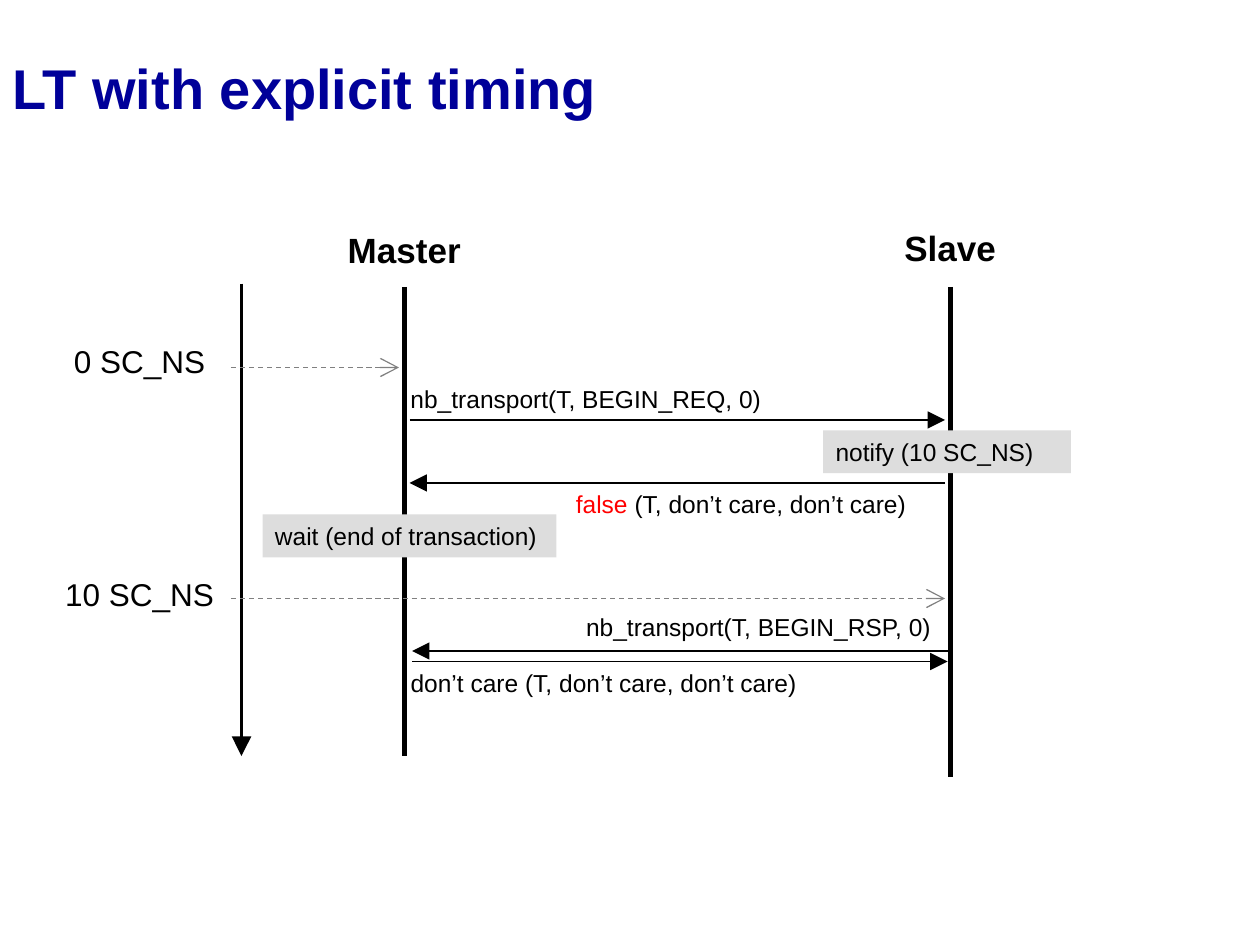
"""Build the sequence diagram slide on LT with explicit timing."""
from lxml import etree
from pptx import Presentation
from pptx.dml.color import RGBColor
from pptx.enum import dml, shapes, text
from pptx.oxml import ns
from pptx.util import Pt

NAVY = RGBColor(0x00, 0x00, 0x99)
BLACK = RGBColor(0x00, 0x00, 0x00)
RED = RGBColor(0xFF, 0x00, 0x00)
GRAY = RGBColor(0x80, 0x80, 0x80)
LIGHT_GRAY = RGBColor(0xDD, 0xDD, 0xDD)
FONT = "Arial"

TITLE = "LT with explicit timing"
MASTER_X, SLAVE_X, TIME_X = 231, 543, 138
DASH_START = 132
ROW_HEIGHT = 24.5

LIFELINES = [
    ("Master", MASTER_X, 127, 84, 432),
    ("Slave", SLAVE_X, 126, 72, 444),
]
MESSAGES = [
    (234, 540, 240),
    (540, 234, 276),
    (541.5, 235.5, 372),
    (235.5, 541.5, 378),
]
TIME_MARKS = [
    ("0 SC_NS", 35.2, 191.8, 94, 210, 228),
    ("10 SC_NS", 30.2, 325, 99.4, 342, 540),
]
LABELS = [
    ([("nb_transport(T, BEGIN_REQ, 0)", BLACK)], 227.5, 216, 216),
    ([("false", RED), (" (T, don’t care, don’t care)", BLACK)], 322, 276, 204.5),
    ([("nb_transport(T, BEGIN_RSP, 0)", BLACK)], 327.8, 346.3, 214.6),
    ([("don’t care (T, don’t care, don’t care)", BLACK)], 227.5, 378, 237),
]
ACTIONS = [
    ("notify (10 SC_NS)", 470.4, 246, 141.6),
    ("wait (end of transaction)", 150, 294, 168),
]


def style_run(run, size, color, bold=False):
    run.font.name = FONT
    run.font.size = Pt(size)
    run.font.bold = bold
    run.font.color.rgb = color


def write(frame, runs, size, bold=False, align=text.PP_ALIGN.LEFT):
    paragraph = frame.paragraphs[0]
    paragraph.alignment = align
    for words, color in runs:
        run = paragraph.add_run()
        run.text = words
        style_run(run, size, color, bold)


def add_label(slide, runs, left, top, width, height, size, **style):
    box = slide.shapes.add_textbox(Pt(left), Pt(top), Pt(width), Pt(height))
    box.text_frame.word_wrap = False
    box.text_frame.auto_size = text.MSO_AUTO_SIZE.SHAPE_TO_FIT_TEXT
    write(box.text_frame, runs, size, **style)


def add_line(slide, start, end, width=0.75, color=BLACK, head=None, dashed=False):
    line = slide.shapes.add_connector(
        shapes.MSO_CONNECTOR.STRAIGHT, *(Pt(value) for value in (*start, *end)))
    line.line.width = Pt(width)
    line.line.color.rgb = color
    if dashed:
        line.line.dash_style = dml.MSO_LINE.DASH
    properties = line._element.spPr
    if head:
        etree.SubElement(properties.find(ns.qn("a:ln")), ns.qn("a:tailEnd"),
                         type=head, w="lg", len="lg")
    etree.SubElement(properties, ns.qn("a:effectLst"))


def add_action(slide, words, left, top, width):
    box = slide.shapes.add_shape(
        shapes.MSO_SHAPE.RECTANGLE, Pt(left), Pt(top), Pt(width), Pt(ROW_HEIGHT))
    box.shadow.inherit = False
    box.fill.solid()
    box.fill.fore_color.rgb = LIGHT_GRAY
    box.line.fill.background()
    box.text_frame.word_wrap = True
    box.text_frame.vertical_anchor = text.MSO_ANCHOR.TOP
    write(box.text_frame, [(words, BLACK)], 14)


def add_title(slide):
    title = slide.shapes.title
    title.left, title.top, title.width, title.height = Pt(0), Pt(21.6), Pt(720), Pt(62.6)
    frame = title.text_frame
    frame.text = TITLE
    frame.auto_size = text.MSO_AUTO_SIZE.NONE
    frame.vertical_anchor = text.MSO_ANCHOR.MIDDLE
    paragraph = frame.paragraphs[0]
    paragraph.alignment = text.PP_ALIGN.LEFT
    paragraph.line_spacing = 0.85
    style_run(paragraph.runs[0], 32, NAVY, bold=True)


def main():
    presentation = Presentation()
    presentation.slide_width, presentation.slide_height = Pt(720), Pt(540)
    slide = presentation.slides.add_slide(presentation.slide_layouts[5])
    add_title(slide)
    for name, x, top, width, bottom in LIFELINES:
        add_line(slide, (x, 164), (x, bottom), width=3)
        add_label(slide, [(name, BLACK)], x - width / 2, top, width, 31.5, 20,
                  bold=True, align=text.PP_ALIGN.CENTER)
    add_line(slide, (TIME_X, 162), (TIME_X, 432), width=2.25, head="triangle")
    for name, left, top, width, y, end in TIME_MARKS:
        add_label(slide, [(name, BLACK)], left, top, width, 29, 18)
        add_line(slide, (DASH_START, y), (end, y), color=GRAY, head="arrow", dashed=True)
    for start, end, y in MESSAGES:
        add_line(slide, (start, y), (end, y), head="triangle")
    for runs, left, top, width in LABELS:
        add_label(slide, runs, left, top, width, ROW_HEIGHT, 14)
    for action in ACTIONS:
        add_action(slide, *action)
    presentation.save("out.pptx")


if __name__ == "__main__":
    main()
